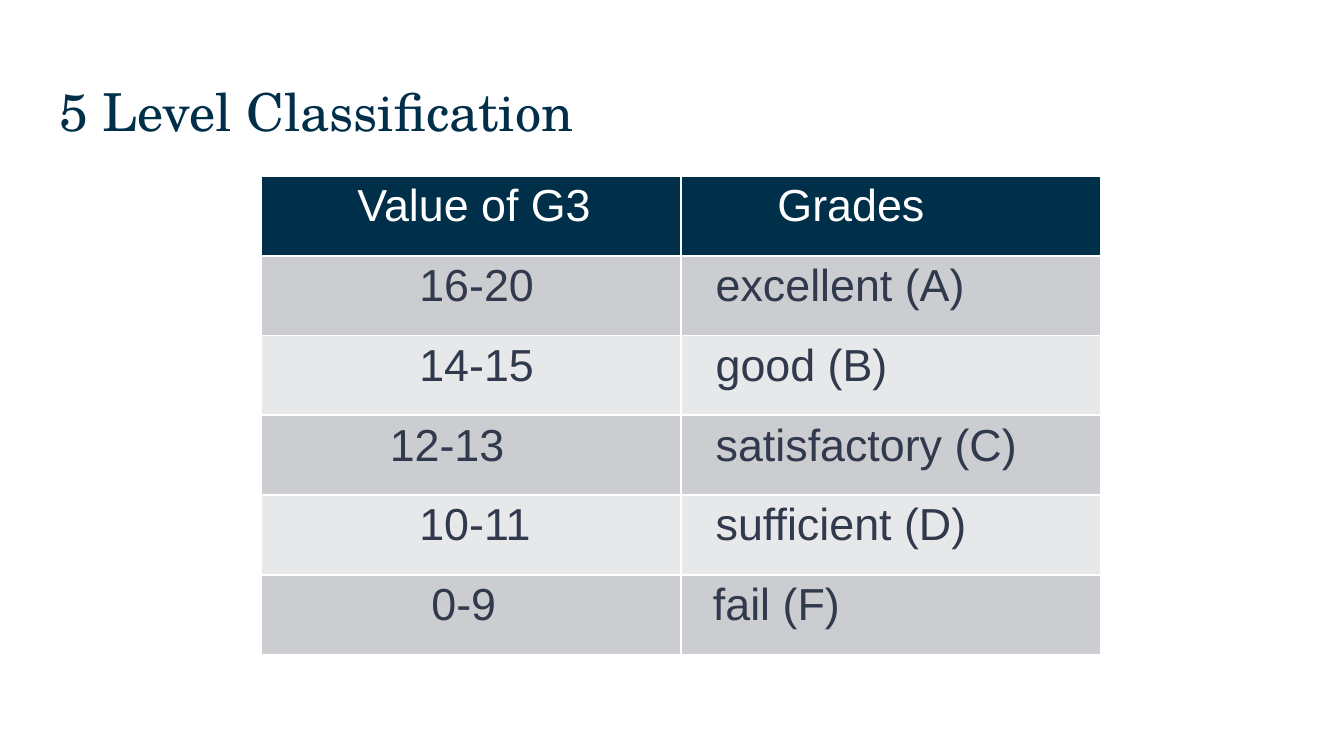
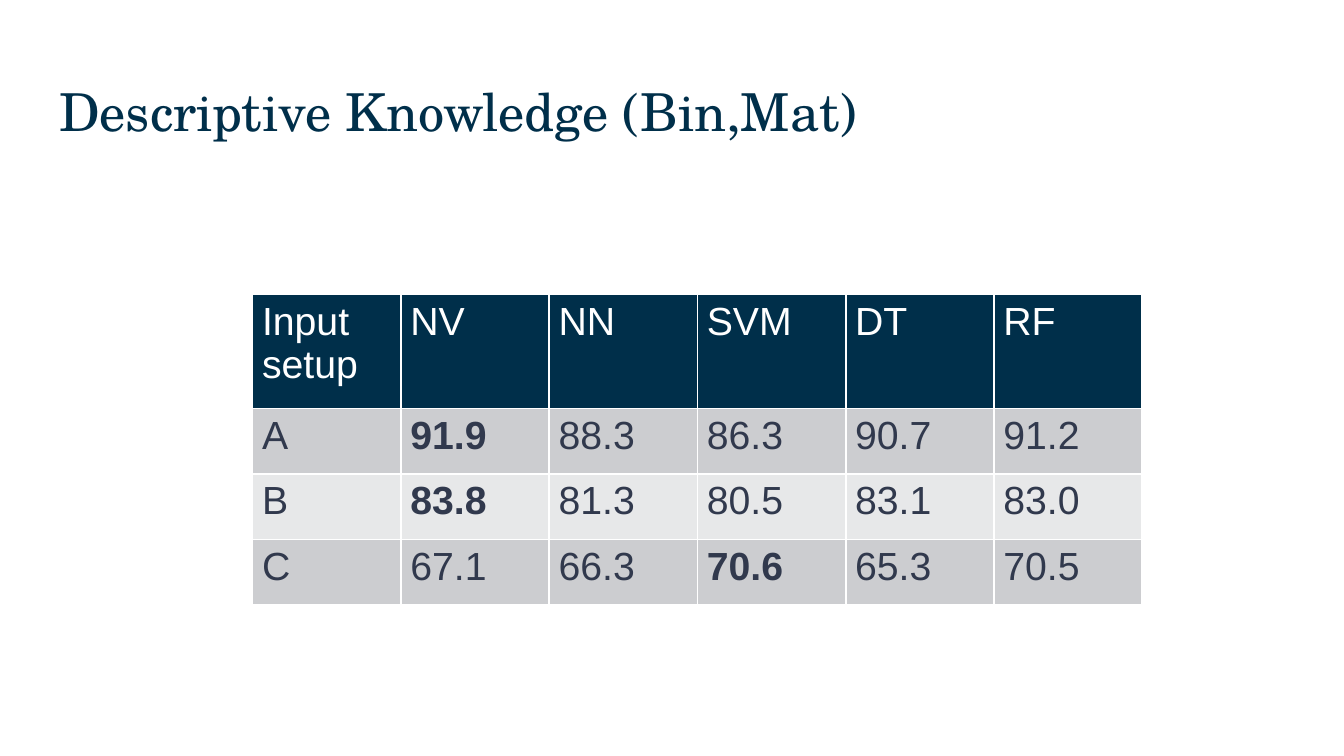
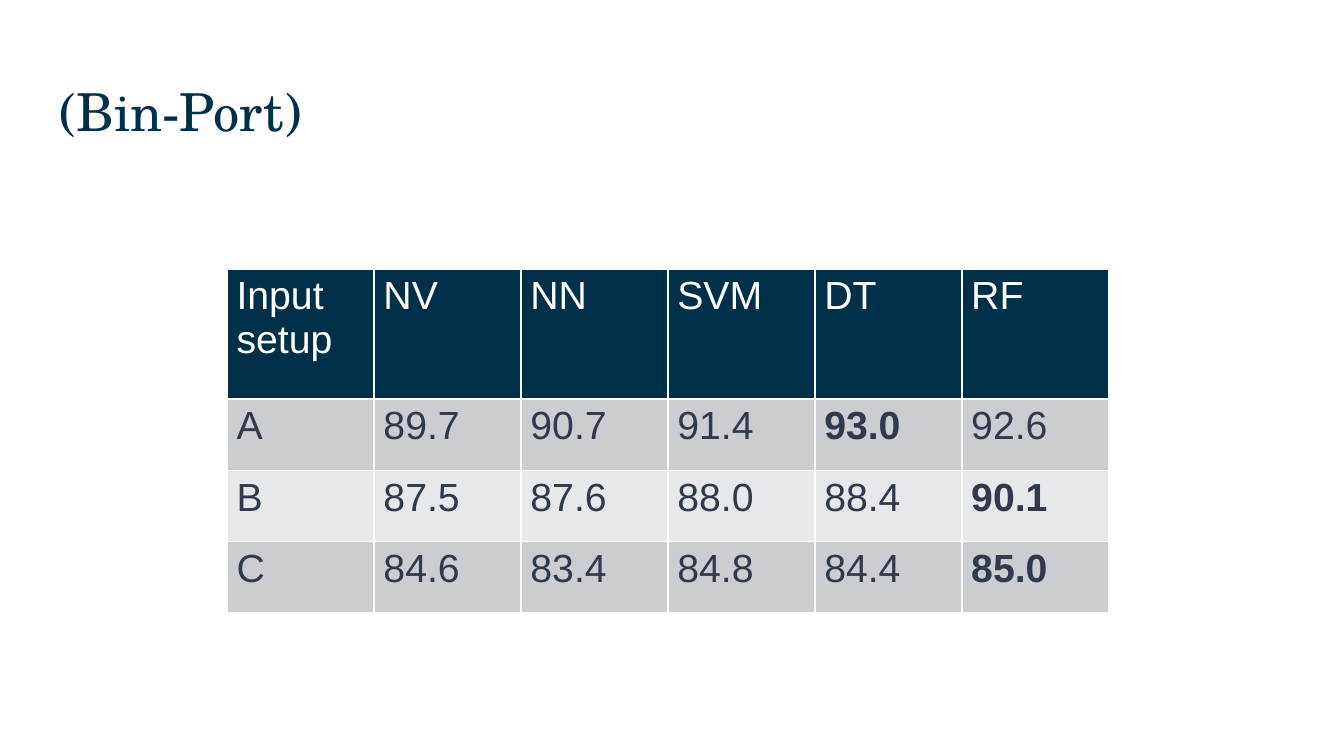
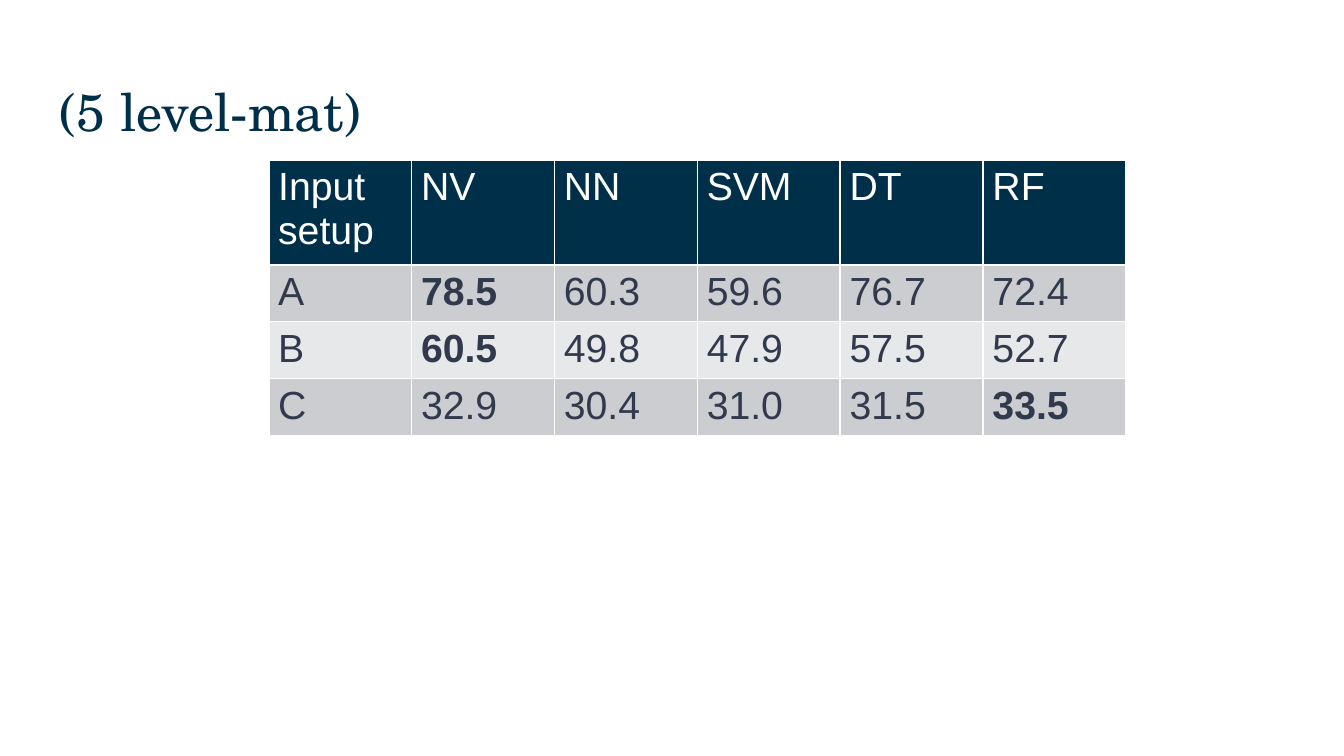
from lxml import etree
from pptx import Presentation
from pptx.dml.color import RGBColor
from pptx.enum.text import MSO_ANCHOR, MSO_AUTO_SIZE, PP_ALIGN
from pptx.oxml.ns import qn
from pptx.util import Inches, Pt

TOP, LEFT, NO_FIT = MSO_ANCHOR.TOP, PP_ALIGN.LEFT, MSO_AUTO_SIZE.NONE
COLORS = {
    "navy": "002F4A",
    "ink": "31394D",
    "white": "FFFFFF",
    "dark_band": "CCCDD0",
    "light_band": "E7E8E9",
}
TITLE_FONT, TABLE_FONT = "TeX Gyre Schola", "Arial"
TITLE_BOX = (0.34, 0.49, 9.32, 0.63)

GRADES = [
    ["Value of G3", "Grades"],
    ["16-20", "excellent (A)"],
    ["14-15", "good (B)"],
    ["12-13", "satisfactory (C)"],
    ["10-11", "sufficient (D)"],
    ["0-9", "fail (F)"],
]
GRADE_INDENTS = [
    [0.65, 0.65],
    [1.11, 0.19],
    [1.11, 0.19],
    [0.89, 0.19],
    [1.11, 0.19],
    [1.2, 0.17],
]
MODELS = ["Input setup", "NV", "NN", "SVM", "DT", "RF"]
RESULTS = [
    ("Descriptive Knowledge (Bin,Mat)", (1.88, 2.19, 6.62, 2.31), 0.85, [
        ["A", "91.9", "88.3", "86.3", "90.7", "91.2"],
        ["B", "83.8", "81.3", "80.5", "83.1", "83.0"],
        ["C", "67.1", "66.3", "70.6", "65.3", "70.5"],
    ]),
    ("(Bin-Port)", (1.69, 2, 6.56, 2.56), 0.97, [
        ["A", "89.7", "90.7", "91.4", "93.0", "92.6"],
        ["B", "87.5", "87.6", "88.0", "88.4", "90.1"],
        ["C", "84.6", "83.4", "84.8", "84.4", "85.0"],
    ]),
    ("(5 level-mat)", (2, 1.19, 6.38, 2.05), 0.78, [
        ["A", "78.5", "60.3", "59.6", "76.7", "72.4"],
        ["B", "60.5", "49.8", "47.9", "57.5", "52.7"],
        ["C", "32.9", "30.4", "31.0", "31.5", "33.5"],
    ]),
]


def rgb(name):
    """Return the named palette colour."""
    return RGBColor.from_string(COLORS[name])


def style_run(run, font, size, color, bold=False):
    """Format one run of text."""
    run.font.name = font
    run.font.size = Pt(size)
    run.font.bold = bold
    run.font.color.rgb = rgb(color)


def add_titled_slide(prs, heading):
    """Add a slide with the shared title style."""
    slide = prs.slides.add_slide(prs.slide_layouts[5])
    title = slide.shapes.title
    title.left, title.top, title.width, title.height = map(Inches, TITLE_BOX)
    frame = title.text_frame
    frame.text = heading
    frame.auto_size = NO_FIT
    frame.word_wrap = True
    frame.vertical_anchor = TOP
    frame.margin_left = frame.margin_right = Inches(0.1)
    frame.margin_top = frame.margin_bottom = Inches(0.1)
    frame.paragraphs[0].alignment = LEFT
    style_run(frame.paragraphs[0].runs[0], TITLE_FONT, 28, "navy")
    return slide


def add_borders(cell):
    """Draw thin white borders on all four sides."""
    tc_pr = cell._tc.get_or_add_tcPr()
    for side in "LRTB":
        line = etree.SubElement(tc_pr, qn(f"a:ln{side}"), w=str(Pt(1)))
        fill = etree.SubElement(line, qn("a:solidFill"))
        etree.SubElement(fill, qn("a:srgbClr"), val=COLORS["white"])


def fill_cell(cell, text, size, row, bold, indent):
    """Write and style a cell according to its row."""
    header = row == 0
    add_borders(cell)
    cell.fill.solid()
    band = "dark_band" if row % 2 else "light_band"
    cell.fill.fore_color.rgb = rgb("navy" if header else band)
    cell.margin_left = cell.margin_right = Inches(0.07)
    cell.margin_top = cell.margin_bottom = Inches(0.04)
    cell.vertical_anchor = TOP
    cell.text_frame.text = text
    paragraph = cell.text_frame.paragraphs[0]
    if indent:
        paragraph._p.get_or_add_pPr().set("marL", str(Inches(indent)))
    style_run(paragraph.runs[0], TABLE_FONT, size, "white" if header else "ink", bold)


def add_banded_table(slide, box, rows, size, header_height, best=False, indents=None):
    """Add a table with equal columns and body rows, optionally marking each row's best value."""
    width, height = box[2:]
    table = slide.shapes.add_table(len(rows), len(rows[0]), *map(Inches, box)).table
    for column in table.columns:
        column.width = Inches(width / len(rows[0]))
    body_height = (height - header_height) / (len(rows) - 1)
    for r, values in enumerate(rows):
        table.rows[r].height = Inches(body_height if r else header_height)
        top_score = max(values[1:], key=float) if best and r else None
        for c, value in enumerate(values):
            indent = indents[r][c] if indents else 0
            fill_cell(table.cell(r, c), value, size, r, value == top_score, indent)


def build_grades_slide(prs):
    """Build the slide that maps G3 values to grades."""
    slide = add_titled_slide(prs, "5 Level Classification")
    box = (1.94, 1.31, 6.25, 3.56)
    add_banded_table(slide, box, GRADES, 24, box[3] / len(GRADES), indents=GRADE_INDENTS)


def build_results_slide(prs, heading, box, header_height, scores):
    """Build a slide comparing model scores per input setup."""
    slide = add_titled_slide(prs, heading)
    add_banded_table(slide, box, [MODELS, *scores], 21, header_height, best=True)


def main():
    """Build the presentation."""
    prs = Presentation()
    prs.slide_width = Inches(10)
    prs.slide_height = prs.slide_width * 9 // 16
    build_grades_slide(prs)
    for result in RESULTS:
        build_results_slide(prs, *result)
    prs.save("out.pptx")


if __name__ == "__main__":
    main()
